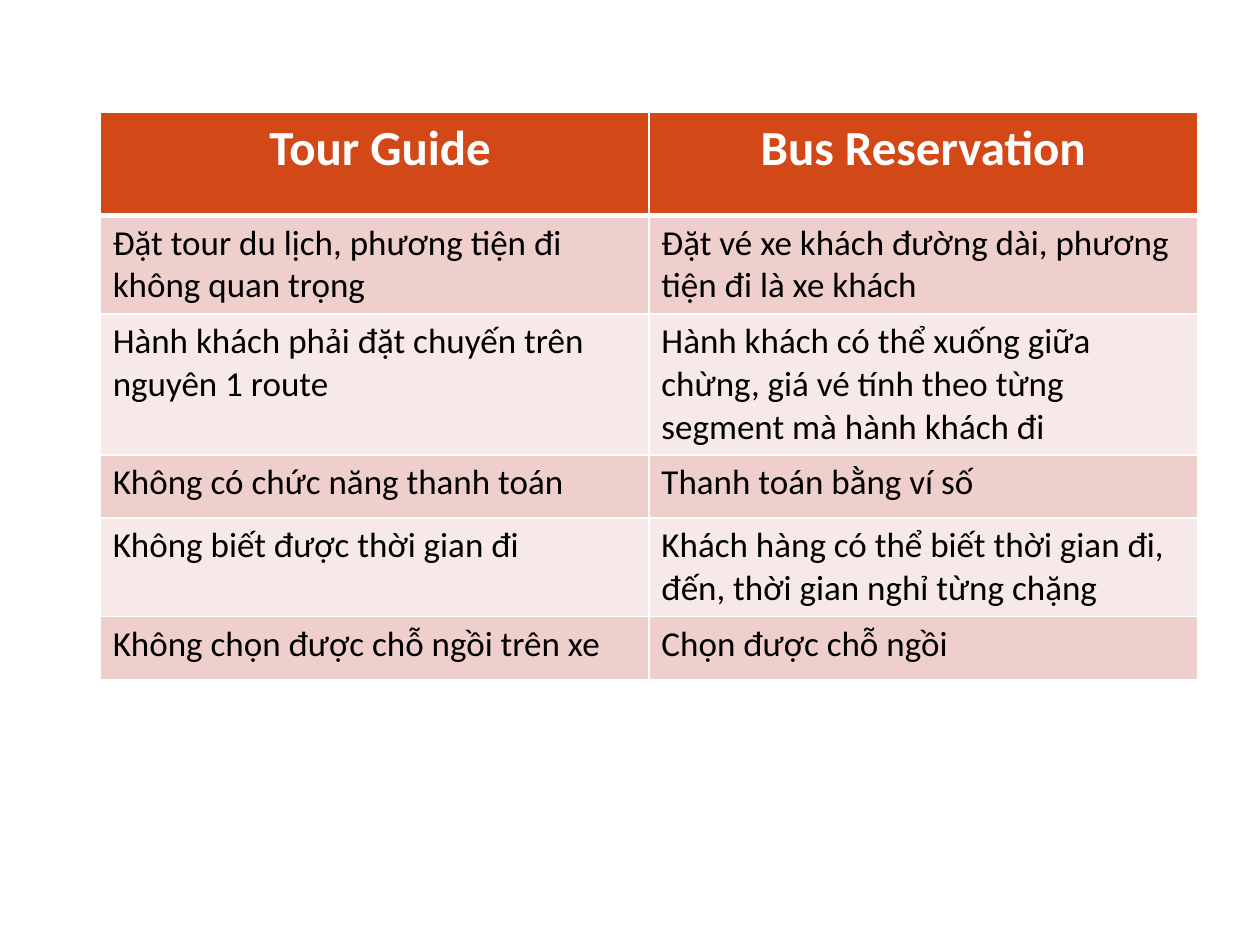
import pptx
import pptx.util
import pptx.dml.color
import pptx.enum.text
import pptx.oxml
import pptx.oxml.ns

RGBColor = pptx.dml.color.RGBColor
WHITE = RGBColor(0xFF, 0xFF, 0xFF)
BLACK = RGBColor(0x00, 0x00, 0x00)
ORANGE = RGBColor(0xD3, 0x48, 0x17)
ROSE = RGBColor(0xEF, 0xCF, 0xCC)
PALE_ROSE = RGBColor(0xF7, 0xE9, 0xE8)

CENTER = pptx.enum.text.PP_ALIGN.CENTER
LEFT = pptx.enum.text.PP_ALIGN.LEFT


class SlideBuilder:
    font_name = "Calibri"
    header_font = {"size": pptx.util.Pt(28), "bold": True}
    body_font = {"size": pptx.util.Pt(20), "bold": False}
    rule_width = 1
    header_rule_width = 3

    def __init__(self, deck):
        self.width = deck.slide_width
        self.height = deck.slide_height
        self.slide = deck.slides.add_slide(deck.slide_layouts[6])

    def across(self, share):
        return round(self.width * share / 100)

    def down(self, share):
        return round(self.height * share / 100)

    def border(self, cell, side, points):
        properties = cell._tc.get_or_add_tcPr()
        line = pptx.oxml.parse_xml(
            f'<a:{side} {pptx.oxml.ns.nsdecls("a")} w="{pptx.util.Pt(points)}">'
            f'<a:solidFill><a:srgbClr val="{WHITE}"/></a:solidFill></a:{side}>'
        )
        properties.append(line)

    def cell(self, cell, text, fill, color, align, font):
        para = cell.text_frame.paragraphs[0]
        para.alignment = align
        span = para.add_run()
        span.text = text
        for name, value in {"name": self.font_name, **font}.items():
            setattr(span.font, name, value)
        span.font.color.rgb = color
        return fill

    def table(self, rows, left, top, width, row_shares):
        frame = self.slide.shapes.add_table(
            len(rows), len(rows[0]), self.across(left), self.down(top),
            self.across(width), self.down(sum(row_shares)),
        )
        grid = frame.table
        for row, share in zip(grid.rows, row_shares):
            row.height = self.down(share)
        for row_index, texts in enumerate(rows):
            header = row_index == 0
            fill = ORANGE if header else (ROSE if row_index % 2 else PALE_ROSE)
            color = WHITE if header else BLACK
            align = CENTER if header else LEFT
            font = self.header_font if header else self.body_font
            widths = {
                "lnL": self.rule_width,
                "lnR": self.rule_width,
                "lnT": self.header_rule_width if row_index == 1 else self.rule_width,
                "lnB": self.header_rule_width if header else self.rule_width,
            }
            for column_index, text in enumerate(texts):
                cell = grid.cell(row_index, column_index)
                self.cell(cell, text, fill, color, align, font)
                for side, points in widths.items():
                    self.border(cell, side, points)
                cell.fill.solid()
                cell.fill.fore_color.rgb = fill


COMPARISON = [
    (" Tour Guide", "Bus Reservation"),
    ("Đặt tour du lịch, phương tiện đi không quan trọng",
     "Đặt vé xe khách đường dài, phương tiện đi là xe khách"),
    ("Hành khách phải đặt chuyến trên nguyên 1 route",
     "Hành khách có thể xuống giữa chừng, giá vé tính theo từng segment mà hành khách đi"),
    ("Không có chức năng thanh toán", "Thanh toán bằng ví số"),
    ("Không biết được thời gian đi",
     "Khách hàng có thể biết thời gian đi, đến, thời gian nghỉ từng chặng"),
    ("Không chọn được chỗ ngồi trên xe", "Chọn được chỗ ngồi"),
]

deck = pptx.Presentation()
deck.slide_width = pptx.util.Inches(10)
deck.slide_height = pptx.util.Inches(7.5)
builder = SlideBuilder(deck)
builder.table(
    COMPARISON, left=7.95, top=11.9, width=87.1,
    row_shares=[10.9, 7.33, 7.33, 6.67, 6.67, 6.67],
)
deck.save("out.pptx")
